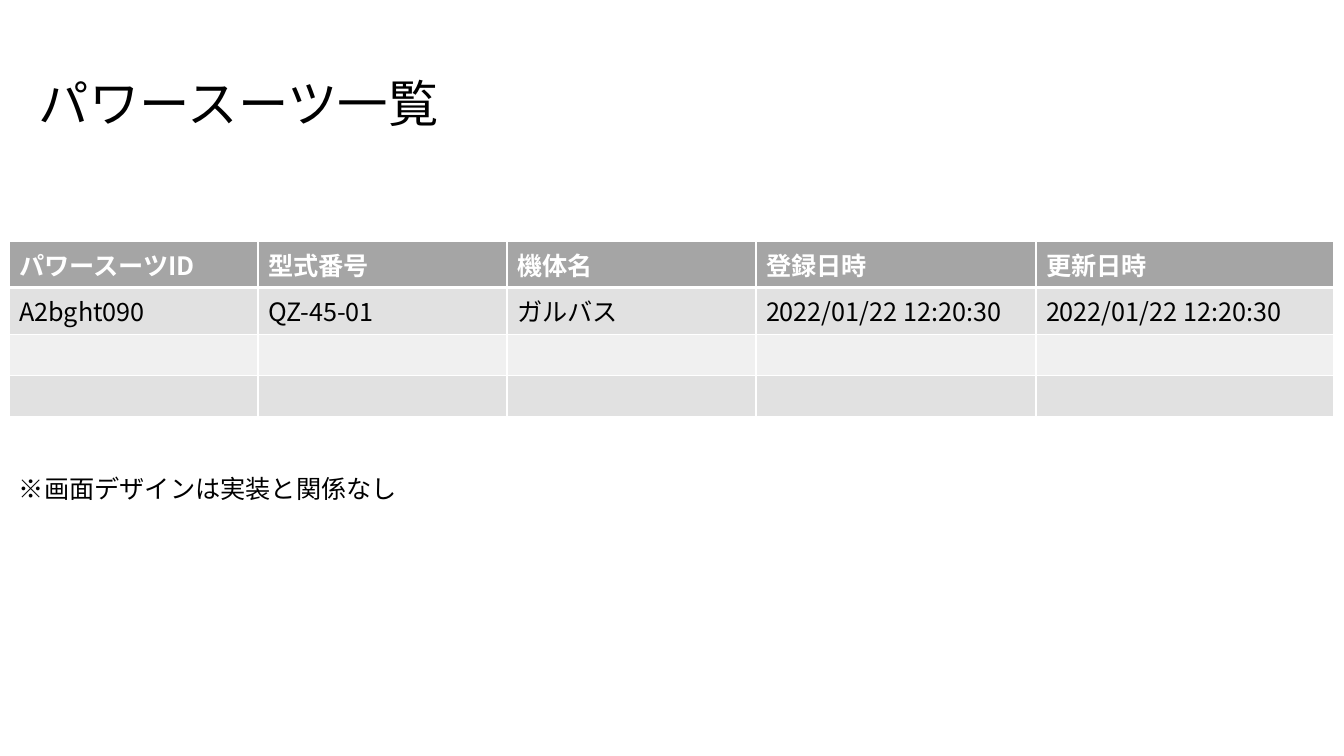
"""Build the suit list slide with a title, a table and a footnote."""
from dataclasses import dataclass

from lxml import etree
from pptx import Presentation
from pptx import util as u
from pptx.dml.color import RGBColor
from pptx.enum import text
from pptx.oxml import ns

SCALE = 914400 / 100.8


@dataclass(frozen=True)
class Theme:
    """Hold the colours, font and type sizes."""
    font: str = "Noto Sans CJK JP"
    ink: str = "000000"
    white: str = "FFFFFF"
    head: str = "A5A5A5"
    bands: tuple = ("E1E1E1", "F0F0F0")
    title: int = 36
    body: int = 18
    thin: int = 1
    thick: int = 3


THEME = Theme()


def px(num):
    """Turn pixels into EMU."""
    return u.Emu(round(num * SCALE))


def apply(item, form):
    """Set each attribute of the item from a dict."""
    for key, value in form.items():
        setattr(item, key, value)


def write(frame, words, size, color, bold=False):
    """Write one styled run into a text frame."""
    run = frame.paragraphs[0].add_run()
    run.text = words
    apply(run.font, {"name": THEME.font, "size": u.Pt(size), "bold": bold})
    run.font.color.rgb = RGBColor.from_string(color)
    east = etree.SubElement(run.font._element, ns.qn("a:ea"))
    east.set("typeface", THEME.font)


def label(slide, box, words, size):
    """Place a line of text in a box."""
    frame = slide.shapes.add_textbox(*map(px, box)).text_frame
    apply(frame, {"word_wrap": True,
                  "auto_size": text.MSO_AUTO_SIZE.SHAPE_TO_FIT_TEXT})
    write(frame, words, size, THEME.ink)


def edge(cell, widths):
    """Draw white borders around a cell."""
    props = cell._tc.get_or_add_tcPr()
    for spot, (side, width) in enumerate(widths.items()):
        line = etree.Element(ns.qn(f"a:ln{side}"), w=str(u.Pt(width)))
        fill = etree.SubElement(line, ns.qn("a:solidFill"))
        etree.SubElement(fill, ns.qn("a:srgbClr"), val=THEME.white)
        props.insert(spot, line)


def grid(slide, box, cols, rows):
    """Place a table with a header and banded rows in a box."""
    table = slide.shapes.add_table(len(rows), len(cols), *map(px, box)).table
    apply(table, {"first_row": False, "horz_banding": False})
    for col, width in zip(table.columns, cols):
        col.width = px(width)
    for r, row in enumerate(rows):
        head = r == 0
        shade = THEME.head if head else THEME.bands[(r - 1) % 2]
        widths = {"L": THEME.thin, "R": THEME.thin,
                  "T": THEME.thick if r == 1 else THEME.thin,
                  "B": THEME.thick if head else THEME.thin}
        for c, words in enumerate(row):
            cell = table.cell(r, c)
            cell.fill.solid()
            cell.fill.fore_color.rgb = RGBColor.from_string(shade)
            edge(cell, widths)
            if words:
                ink = THEME.white if head else THEME.ink
                write(cell.text_frame, words, THEME.body, ink, head)


def main():
    """Build and save the slide."""
    deck = Presentation()
    apply(deck, {"slide_width": px(1344), "slide_height": px(756)})
    slide = deck.slides.add_slide(deck.slide_layouts[6])
    stamp = "2022/01/22 12:20:30"
    blank = [""] * 5
    rows = [["パワースーツID", "型式番号", "機体名", "登録日時", "更新日時"],
            ["A2bght090", "QZ-45-01", "ガルバス", stamp, stamp],
            blank, blank]
    grid(slide, (9, 241, 1325, 164), (249, 249, 249, 280, 298), rows)
    label(slide, (29, 67, 430, 72), "パワースーツ一覧", THEME.title)
    label(slide, (9, 468, 430, 40), "※画面デザインは実装と関係なし", THEME.body)
    deck.save("out.pptx")


main()
